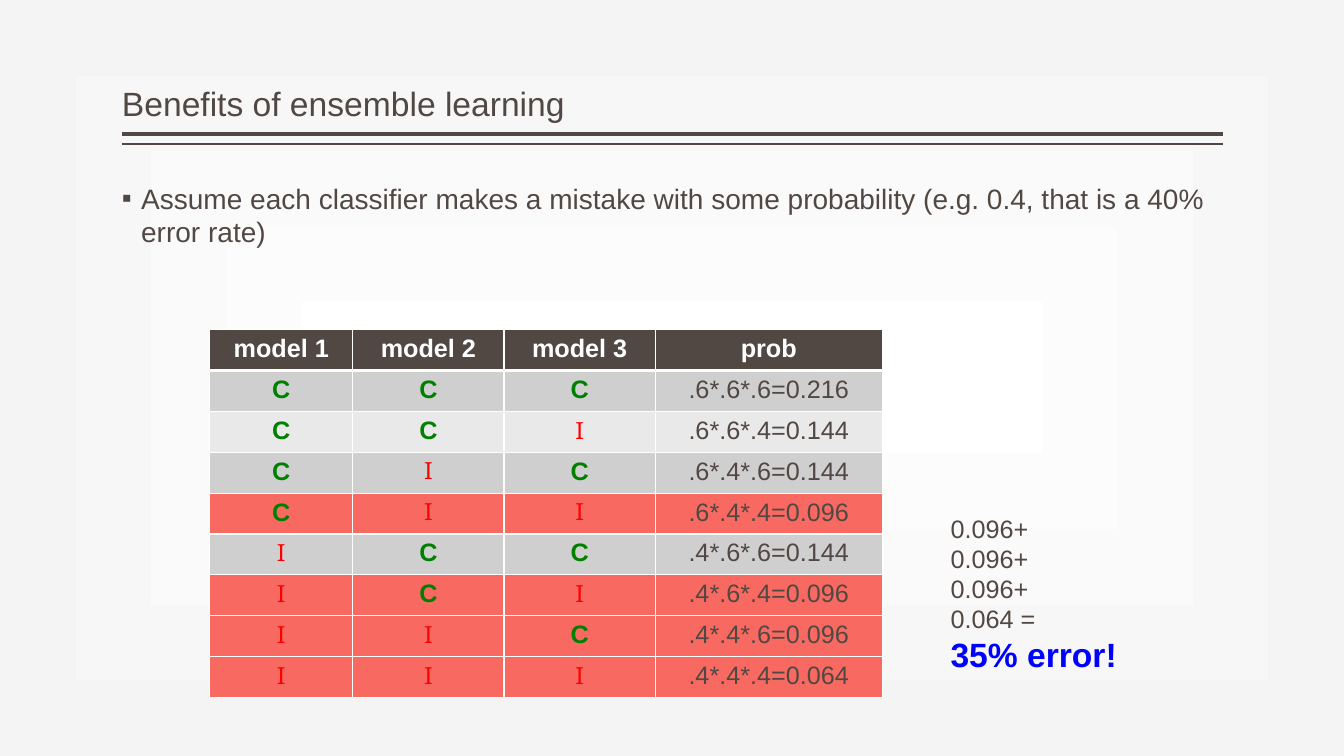
from itertools import product
from math import prod

from lxml import etree
from pptx import Presentation
from pptx.dml.color import RGBColor
from pptx.enum.shapes import MSO_CONNECTOR
from pptx.enum.text import MSO_ANCHOR, MSO_AUTO_SIZE, PP_ALIGN
from pptx.oxml import parse_xml
from pptx.oxml.ns import qn
from pptx.util import Inches, Pt

STRAIGHT = MSO_CONNECTOR.STRAIGHT
TOP, BOTTOM = MSO_ANCHOR.TOP, MSO_ANCHOR.BOTTOM
FIT_SHAPE = MSO_AUTO_SIZE.SHAPE_TO_FIT_TEXT
CENTER = PP_ALIGN.CENTER

BROWN = RGBColor(0x51, 0x48, 0x43)
WHITE = RGBColor(0xFF, 0xFF, 0xFF)
GREEN = RGBColor(0x00, 0x80, 0x00)
RED = RGBColor(0xFF, 0x00, 0x00)
BLUE = RGBColor(0x00, 0x00, 0xFF)
DARK_BAND = RGBColor(0xD0, 0xCF, 0xCF)
LIGHT_BAND = RGBColor(0xE9, 0xE9, 0xE9)
ERROR_FILL = RGBColor(0xF7, 0x69, 0x61)

LEFT, CONTENT_WIDTH = 1.21, 10.92
COLUMN_WIDTHS = (1.42, 1.5, 1.5, 2.25)
ROW_HEIGHT = 3.65 / 9
HEADERS = ("model 1", "model 2", "model 3", "prob")
CHANCES = {"C": 0.6, "I": 0.4}
OUTCOME_FORMATS = {
    "C": {"color": GREEN, "bold": True},
    "I": {"color": RED, "font": "Cambria"},
}

BACKGROUND_XML = """
<p:bg xmlns:p="http://schemas.openxmlformats.org/presentationml/2006/main"
      xmlns:a="http://schemas.openxmlformats.org/drawingml/2006/main">
  <p:bgPr>
    <a:gradFill rotWithShape="1">
      <a:gsLst>
        <a:gs pos="0"><a:srgbClr val="FFFFFF"/></a:gs>
        <a:gs pos="100000"><a:srgbClr val="F4F4F4"><a:alpha val="80000"/></a:srgbClr></a:gs>
      </a:gsLst>
      <a:path path="rect">
        <a:fillToRect l="5000" t="5000" r="5000" b="5000"/>
      </a:path>
    </a:gradFill>
    <a:effectLst/>
  </p:bgPr>
</p:bg>
"""


def set_background(slide):
    slide.element.find(qn("p:cSld")).insert(0, parse_xml(BACKGROUND_XML))


def write_text(paragraph, text, size=18, color=BROWN, font="Arial", bold=False, align=None):
    paragraph.alignment = align
    run = paragraph.add_run()
    run.text = text
    run.font.name = font
    run.font.size = Pt(size)
    run.font.bold = bold
    run.font.color.rgb = color


def add_text_box(slide, left, top, width, height, anchor=TOP, side_inset=0.0, wrap=True):
    box = slide.shapes.add_textbox(Inches(left), Inches(top), Inches(width), Inches(height))
    frame = box.text_frame
    frame.word_wrap = wrap
    frame.vertical_anchor = anchor
    frame.margin_left = frame.margin_right = Inches(side_inset)
    return frame


def add_bullet(paragraph, character, indent):
    properties = paragraph._p.get_or_add_pPr()
    properties.set("marL", str(Inches(indent)))
    properties.set("indent", str(-Inches(indent)))
    etree.SubElement(properties, qn("a:buFont"), typeface="Arial")
    etree.SubElement(properties, qn("a:buChar"), char=character)


def add_rule(slide, top, weight):
    rule = slide.shapes.add_connector(
        STRAIGHT, Inches(LEFT), Inches(top), Inches(LEFT + CONTENT_WIDTH), Inches(top)
    )
    rule.line.color.rgb = BROWN
    rule.line.width = Pt(weight)
    etree.SubElement(rule._element.spPr, qn("a:effectLst"))


def set_borders(cell, top=1, bottom=1):
    properties = cell._tc.get_or_add_tcPr()
    weights = {"lnL": 1, "lnR": 1, "lnT": top, "lnB": bottom}
    for position, (edge, weight) in enumerate(weights.items()):
        line = etree.Element(qn(f"a:{edge}"), w=str(Pt(weight)))
        fill = etree.SubElement(line, qn("a:solidFill"))
        etree.SubElement(fill, qn("a:srgbClr"), val=str(WHITE))
        properties.insert(position, line)


def fill_cell(cell, text, fill, top=1, bottom=1, **text_format):
    cell.fill.solid()
    cell.fill.fore_color.rgb = fill
    set_borders(cell, top, bottom)
    write_text(cell.text_frame.paragraphs[0], text, align=CENTER, **text_format)


def describe_probability(outcomes):
    chances = [CHANCES[outcome] for outcome in outcomes]
    factors = "*".join(f"{chance:.1f}".lstrip("0") for chance in chances)
    return f"{factors}={prod(chances):.3f}"


def add_outcome_table(slide, left, top):
    combinations = list(product("CI", repeat=3))
    row_count = len(combinations) + 1
    table = slide.shapes.add_table(
        row_count, len(HEADERS), Inches(left), Inches(top),
        Inches(sum(COLUMN_WIDTHS)), Inches(ROW_HEIGHT * row_count),
    ).table
    for column, width in zip(table.columns, COLUMN_WIDTHS):
        column.width = Inches(width)
    for index, header in enumerate(HEADERS):
        fill_cell(table.cell(0, index), header, BROWN, bottom=3, color=WHITE, bold=True)
    for row, outcomes in enumerate(combinations, start=1):
        band = DARK_BAND if row % 2 else LIGHT_BAND
        fill = ERROR_FILL if outcomes.count("I") > 1 else band
        top_weight = 3 if row == 1 else 1
        for index, outcome in enumerate(outcomes):
            fill_cell(table.cell(row, index), outcome, fill, top_weight, **OUTCOME_FORMATS[outcome])
        fill_cell(table.cell(row, 3), describe_probability(outcomes), fill, top_weight)


def add_error_sum(slide):
    frame = add_text_box(slide, 9.33, 5.04, 1.96, 1.72, side_inset=0.1, wrap=False)
    frame.auto_size = FIT_SHAPE
    write_text(frame.paragraphs[0], "0.096+")
    for term in ("0.096+", "0.096+", "0.064 ="):
        write_text(frame.add_paragraph(), term)
    write_text(frame.add_paragraph(), "35% error!", size=24, color=BLUE, bold=True)


def main():
    presentation = Presentation()
    presentation.slide_width = Inches(13.33)
    presentation.slide_height = Inches(7.5)
    slide = presentation.slides.add_slide(presentation.slide_layouts[6])
    set_background(slide)

    add_rule(slide, 1.33, 3)
    add_rule(slide, 1.43, 1)

    title = add_text_box(slide, LEFT, 0.08, CONTENT_WIDTH, 1.2, anchor=BOTTOM).paragraphs[0]
    title.line_spacing = 0.9
    write_text(title, "Benefits of ensemble learning", size=24)

    assumption = add_text_box(slide, LEFT, 1.75, CONTENT_WIDTH, 5).paragraphs[0]
    add_bullet(assumption, "▪", 0.19)
    write_text(
        assumption,
        "Assume each classifier makes a mistake with some probability "
        "(e.g. 0.4, that is a 40% error rate)",
        size=20,
    )

    add_outcome_table(slide, 2.08, 3.27)
    add_error_sum(slide)
    presentation.save("out.pptx")


if __name__ == "__main__":
    main()
